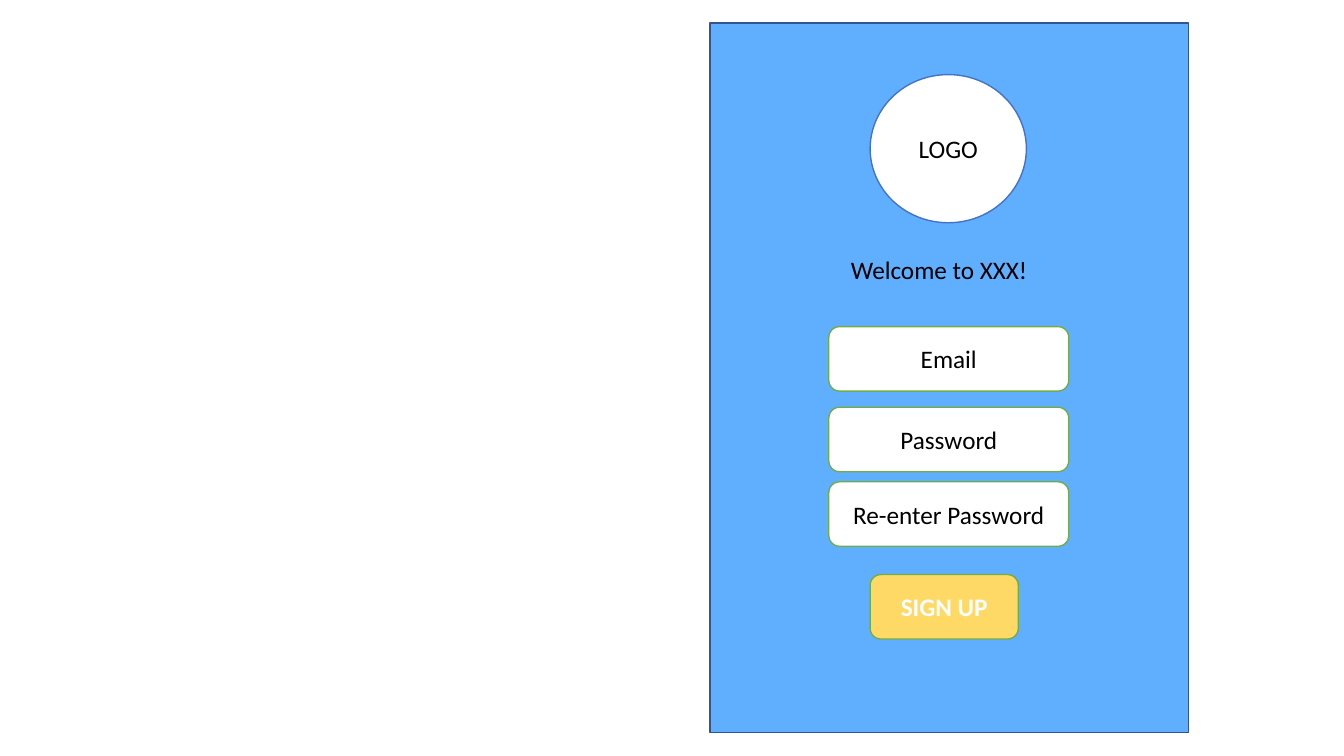
from pptx import Presentation
from pptx.dml.color import RGBColor
from pptx.enum import shapes, text
from pptx.util import Inches, Pt

SKY = RGBColor(0x60, 0xAF, 0xFF)
NAVY = RGBColor(0x32, 0x54, 0x91)
BLUE = RGBColor(0x44, 0x72, 0xC4)
GREEN = RGBColor(0x70, 0xAD, 0x47)
YELLOW = RGBColor(0xFF, 0xD9, 0x66)
WHITE = RGBColor(0xFF, 0xFF, 0xFF)
BLACK = RGBColor(0, 0, 0)

PANEL = (7.04, 0.23, 4.75, 7.04)
LOGO = (8.63, 0.74, 1.55, 1.47)
WELCOME = (8.34, 2.47, 2.26, 0.4)
FIELD_LEFT, FIELD_WIDTH, FIELD_HEIGHT = 8.22, 2.38, 0.64
FIELDS = [("Email", 3.24), ("Password", 4.04), ("Re-enter Password", 4.78)]
BUTTON = (8.63, 5.7, 1.47, FIELD_HEIGHT)


def write(shape, words, color=BLACK, bold=False, align=text.PP_ALIGN.CENTER):
    frame = shape.text_frame
    frame.word_wrap = True
    paragraph = frame.paragraphs[0]
    paragraph.alignment = align
    run = paragraph.add_run()
    run.text = words
    run.font.name = "Calibri"
    run.font.size = Pt(18)
    run.font.bold = bold
    run.font.color.rgb = color


def add_box(slide, kind, box, fill, line):
    shape = slide.shapes.add_shape(kind, *map(Inches, box))
    shape.shadow.inherit = False
    shape.fill.solid()
    shape.fill.fore_color.rgb = fill
    shape.line.color.rgb = line
    shape.line.width = Pt(1)
    shape.text_frame.vertical_anchor = text.MSO_ANCHOR.MIDDLE
    return shape


def main():
    presentation = Presentation()
    presentation.slide_width = Inches(13.33)
    presentation.slide_height = Inches(7.5)
    slide = presentation.slides.add_slide(presentation.slide_layouts[6])

    kinds = shapes.MSO_SHAPE
    rounded = kinds.FLOWCHART_ALTERNATE_PROCESS
    add_box(slide, kinds.RECTANGLE, PANEL, SKY, NAVY)
    write(add_box(slide, kinds.OVAL, LOGO, WHITE, BLUE), "LOGO")

    welcome = slide.shapes.add_textbox(*map(Inches, WELCOME))
    write(welcome, "Welcome to XXX!", align=text.PP_ALIGN.LEFT)
    welcome.text_frame.auto_size = text.MSO_AUTO_SIZE.SHAPE_TO_FIT_TEXT

    for label, top in FIELDS:
        box = (FIELD_LEFT, top, FIELD_WIDTH, FIELD_HEIGHT)
        write(add_box(slide, rounded, box, WHITE, GREEN), label)

    button = add_box(slide, rounded, BUTTON, YELLOW, GREEN)
    write(button, "SIGN UP", WHITE, bold=True)

    presentation.save("out.pptx")


if __name__ == "__main__":
    main()
